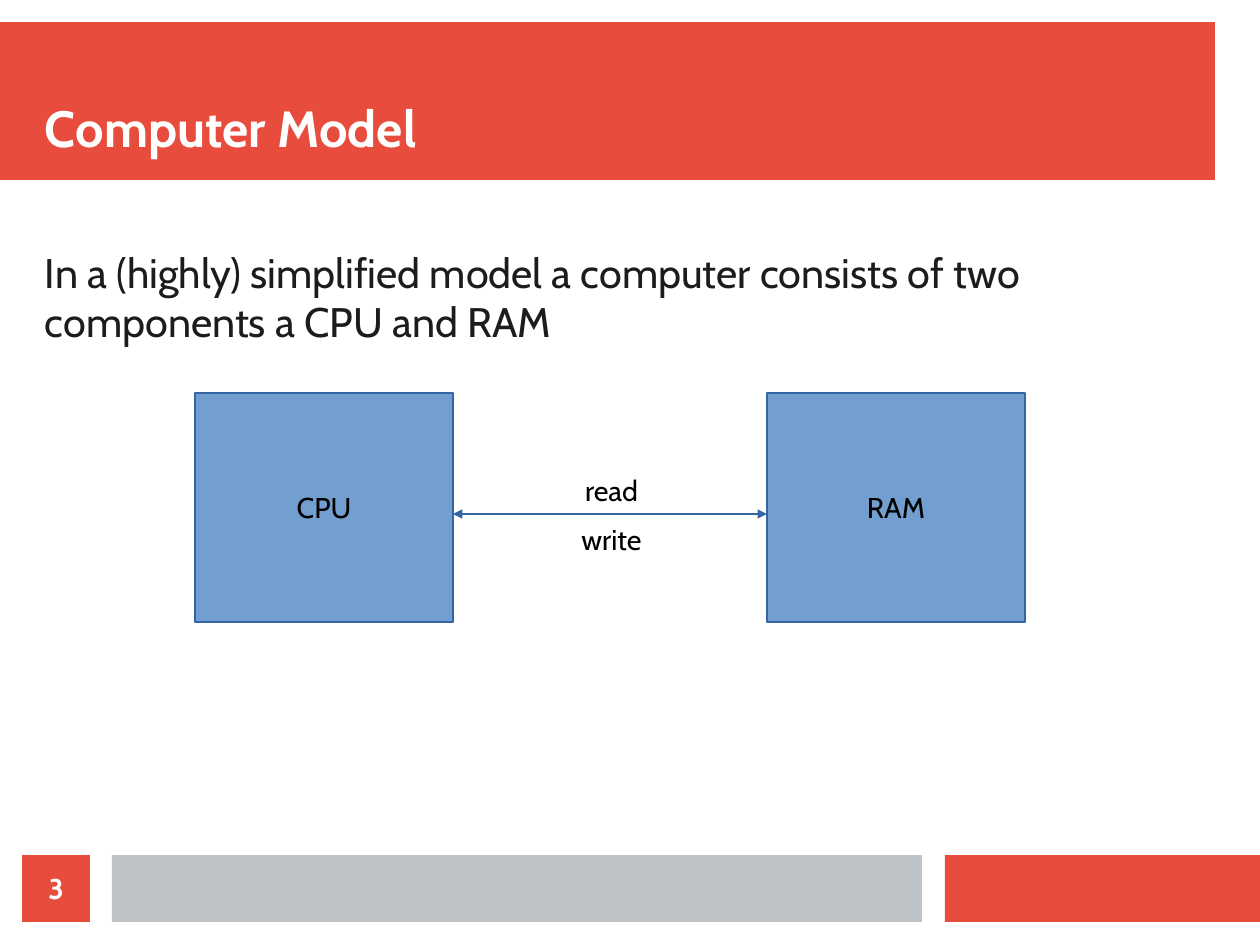
from pptx import Presentation
from pptx import util as u
from pptx.dml.color import RGBColor
from pptx.enum import shapes, text
from pptx.oxml.ns import qn
from lxml import etree

PX = 8000  # EMU per px, slide of 28 by 21 cm
FONT = "Cabin"

RED = RGBColor(0xE7, 0x4C, 0x3C)
GREY = RGBColor(0xBD, 0xC3, 0xC7)
BLUE = RGBColor(0x72, 0x9F, 0xCF)
DARK_BLUE = RGBColor(0x34, 0x65, 0xA4)
INK = RGBColor(0x1C, 0x1C, 0x1C)
BLACK = RGBColor(0, 0, 0)
WHITE = RGBColor(0xFF, 0xFF, 0xFF)


def px(*lengths):
    return [u.Emu(length * PX) for length in lengths]


def write(shape, words, size, color, bold=False, align=text.PP_ALIGN.CENTER,
          anchor=text.MSO_ANCHOR.MIDDLE, wrap=True):
    frame = shape.text_frame
    frame.auto_size = text.MSO_AUTO_SIZE.NONE
    frame.word_wrap = wrap
    frame.vertical_anchor = anchor
    frame.margin_left = frame.margin_right = 0
    frame.margin_top = frame.margin_bottom = 0
    paragraph = frame.paragraphs[0]
    paragraph.alignment = align
    run = paragraph.add_run()
    run.text = words
    run.font.name = FONT
    run.font.size = u.Pt(size)
    run.font.bold = bold
    run.font.color.rgb = color


def add_box(slide, left, top, width, height, fill, line=None):
    box = slide.shapes.add_shape(shapes.MSO_SHAPE.RECTANGLE,
                                 *px(left, top, width, height))
    box.shadow.inherit = False
    box.fill.solid()
    box.fill.fore_color.rgb = fill
    if line is None:
        box.line.fill.background()
    else:
        box.line.color.rgb = line
        box.line.width = 0
    return box


def add_label(slide, left, top, width, height, words, size, color, **layout):
    label = slide.shapes.add_textbox(*px(left, top, width, height))
    write(label, words, size, color, **layout)


def add_double_arrow(slide, start_x, end_x, y):
    arrow = slide.shapes.add_connector(shapes.MSO_CONNECTOR.STRAIGHT,
                                       *px(start_x, y, end_x, y))
    arrow.line.color.rgb = DARK_BLUE
    arrow.line.width = u.Pt(1.45)
    for end in ("a:headEnd", "a:tailEnd"):
        etree.SubElement(arrow.line._get_or_add_ln(), qn(end), type="triangle")
    etree.SubElement(arrow._element.spPr, qn("a:effectLst"))


def add_title(slide, words):
    title = slide.shapes.title
    title.left, title.top, title.width, title.height = px(45, 45, 1170, 113)
    write(title, words, 32, WHITE, bold=True, align=text.PP_ALIGN.LEFT,
          anchor=text.MSO_ANCHOR.BOTTOM)
    # Bring the title in front of its band
    slide.shapes._spTree.append(title._element)


def main():
    presentation = Presentation()
    presentation.slide_width, presentation.slide_height = px(1260, 945)
    slide = presentation.slides.add_slide(presentation.slide_layouts[5])

    # Title band and footer bars
    add_box(slide, 0, 22, 1215, 158, RED)
    add_box(slide, 945, 855, 315, 67, RED)
    add_box(slide, 112, 855, 810, 67, GREY)

    # Title and introduction
    add_title(slide, "Computer Model")
    add_label(slide, 45, 247, 1148, 585,
              "In a (highly) simplified model a computer consists of two "
              "components a CPU and RAM", 26, INK,
              align=text.PP_ALIGN.LEFT, anchor=text.MSO_ANCHOR.TOP)

    # Components
    for name, left in (("CPU", 195), ("RAM", 767)):
        component = add_box(slide, left, 393, 258, 229, BLUE, DARK_BLUE)
        write(component, name, 18, BLACK, wrap=False)

    # Data exchange, slightly below the middle of the components
    add_double_arrow(slide, 453, 767, 514)
    for action, top in (("read", 479), ("write", 528)):
        add_label(slide, 560, top, 103, 23, action, 18, BLACK, wrap=False)

    # Slide number
    number = add_box(slide, 22, 855, 68, 67, RED)
    write(number, "3", 18, WHITE, bold=True)

    presentation.save("out.pptx")


if __name__ == "__main__":
    main()
